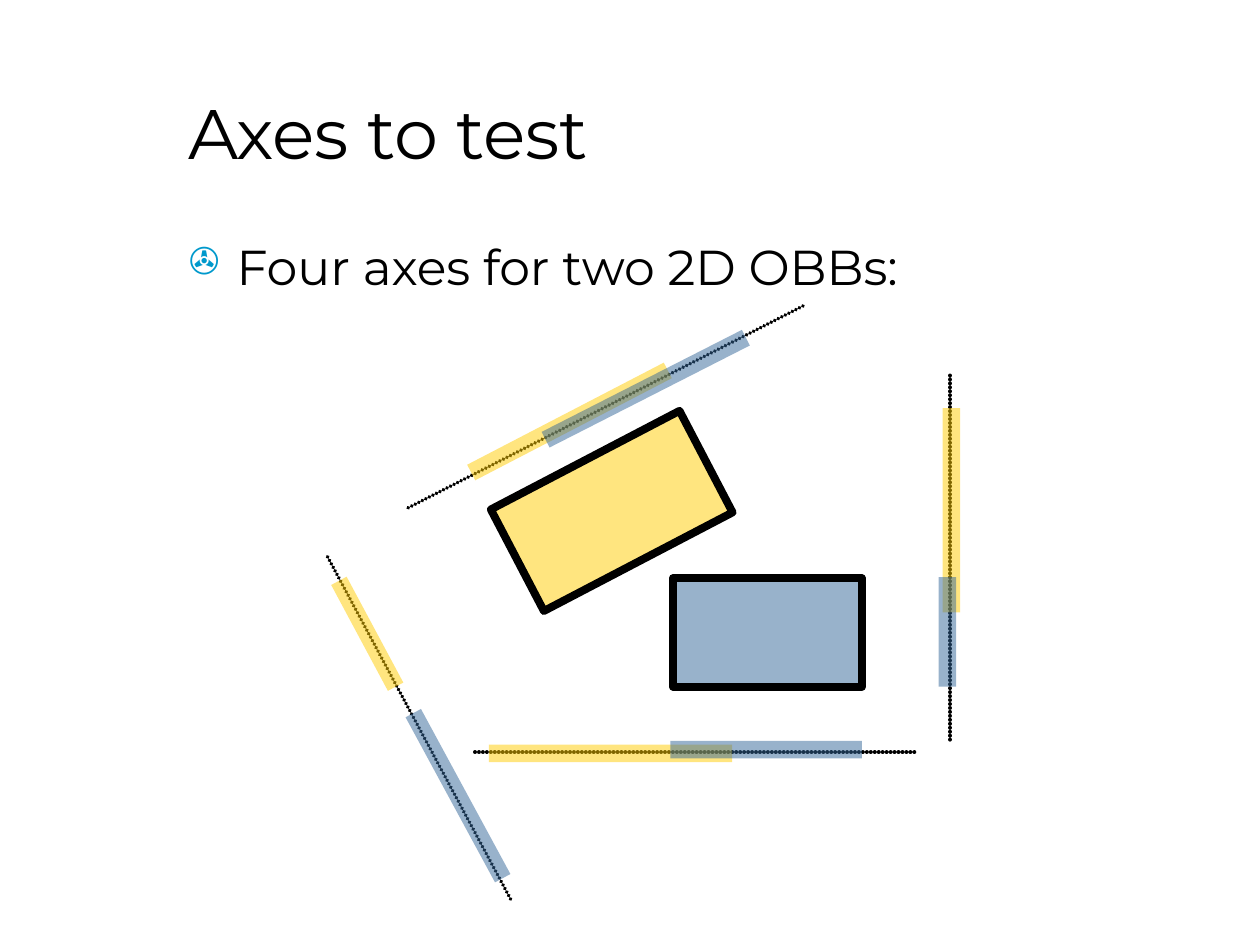
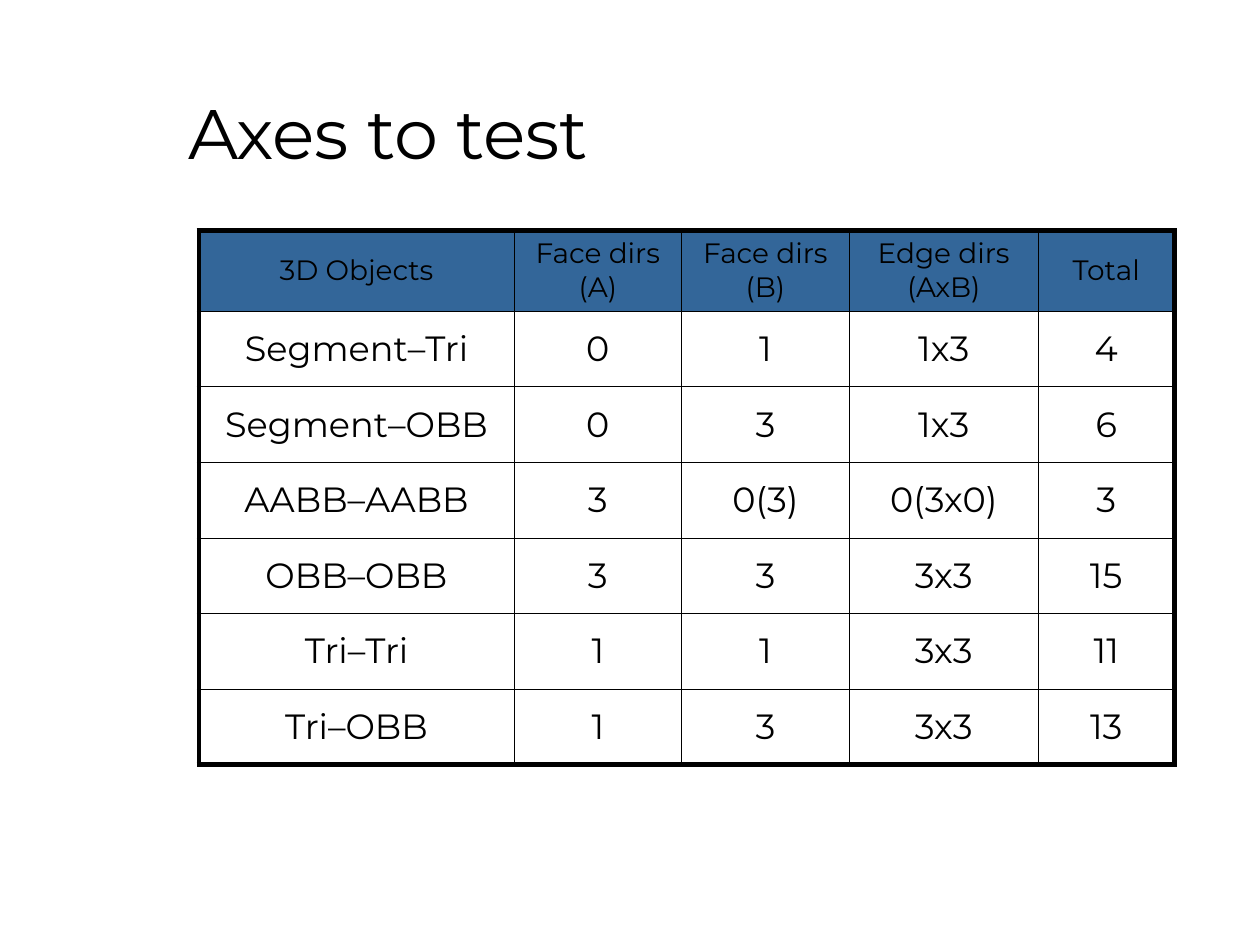
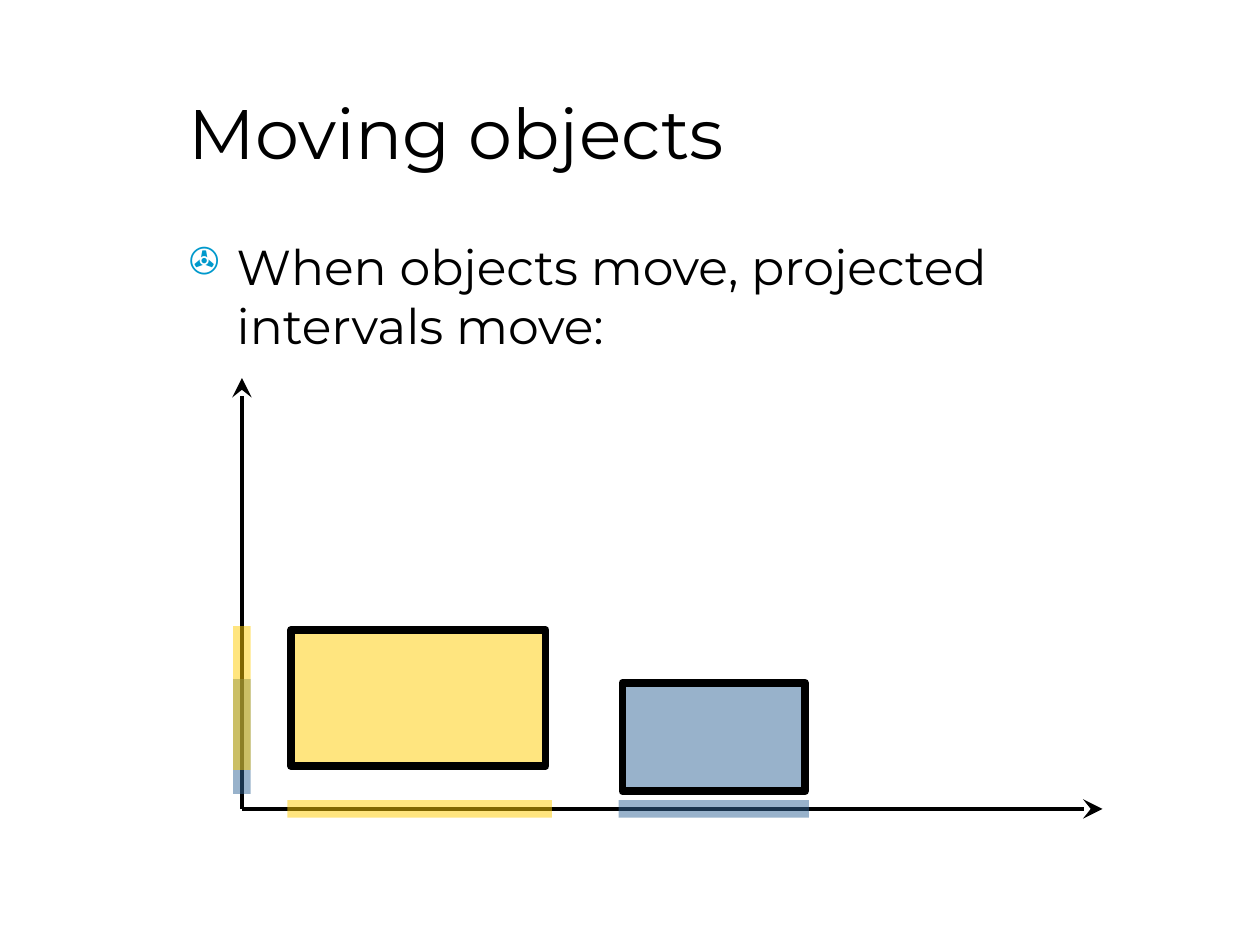
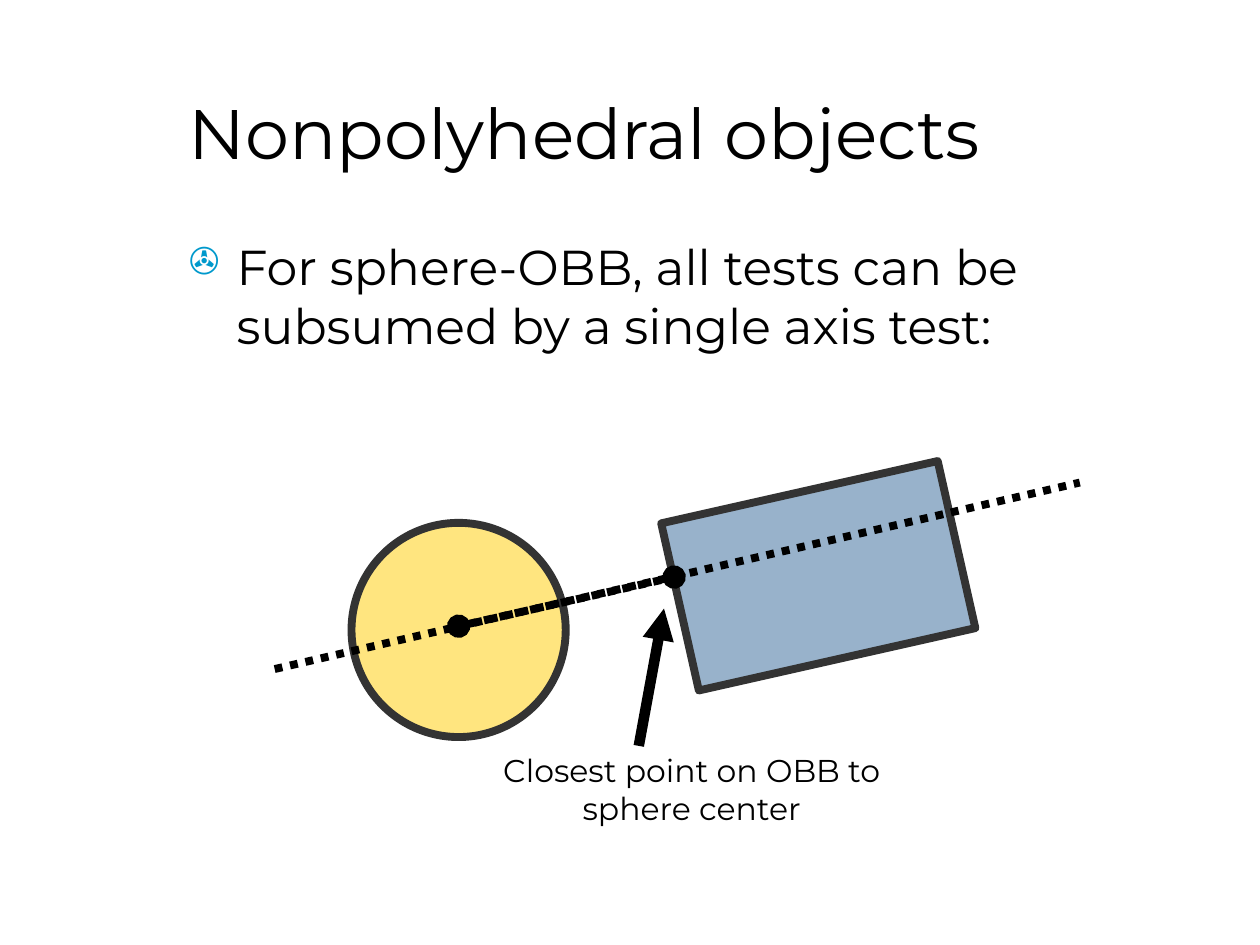
from lxml import etree
from pptx import Presentation
from pptx.dml.color import RGBColor
from pptx.enum.dml import MSO_LINE
from pptx.enum.shapes import MSO_CONNECTOR, MSO_SHAPE
from pptx.enum.text import MSO_ANCHOR, MSO_AUTO_SIZE, PP_ALIGN
from pptx.oxml.ns import qn
from pptx.util import Inches, Pt

BLACK = RGBColor(0x00, 0x00, 0x00)
GRAY = RGBColor(0x33, 0x33, 0x33)
GOLD = RGBColor(0xFF, 0xCC, 0x00)
BLUE = RGBColor(0x33, 0x66, 0x99)
CYAN = RGBColor(0x00, 0x99, 0xCC)
FONT = "Montserrat"

RECT, OVAL = MSO_SHAPE.RECTANGLE, MSO_SHAPE.OVAL
STRAIGHT, DOTS = MSO_CONNECTOR.STRAIGHT, MSO_LINE.ROUND_DOT
TOP, MIDDLE = MSO_ANCHOR.TOP, MSO_ANCHOR.MIDDLE
LEFT, CENTER = PP_ALIGN.LEFT, PP_ALIGN.CENTER
GROW = MSO_AUTO_SIZE.SHAPE_TO_FIT_TEXT

COLS = 10  # square grid: 10 columns, 7.5 rows
THICK, THIN = 3, 0.45


def add(parent, tag, **attrs):
    return etree.SubElement(parent, qn(tag), attrs)


def fade(node):
    """Make the colours under node half transparent."""
    for color in node.iter(qn("a:srgbClr")):
        add(color, "a:alpha", val="50000")


class Deck:
    def __init__(self):
        self.prs = Presentation()
        self.prs.slide_width, self.prs.slide_height = Inches(10), Inches(7.5)
        self.unit = self.prs.slide_width / COLS
        self.slide = None

    def grid(self, *cells):
        return [round(cell * self.unit) for cell in cells]

    def start(self, title, body=None):
        self.slide = self.prs.slides.add_slide(self.prs.slide_layouts[6])
        self.text((1.4, 0.42, 7.75, 1.25), title, 40, anchor=MIDDLE, inset=0)
        if body:
            self.bullet(self.text((1.4, 1.83, 7.75, 4.83), body, 28))

    def put(self, para, text, size, align=LEFT):
        """Add one styled run to a paragraph."""
        para.alignment = align
        run = para.add_run()
        run.text = text
        run.font.size, run.font.name = Pt(size), FONT
        run.font.color.rgb = BLACK

    def text(self, box, text, size, align=LEFT, anchor=TOP, inset=0.05):
        shape = self.slide.shapes.add_textbox(*self.grid(*box))
        frame = shape.text_frame
        frame.word_wrap = True
        frame.vertical_anchor = anchor
        frame.margin_top = frame.margin_bottom = Inches(inset)
        self.put(frame.paragraphs[0], text, size, align)
        return frame

    def bullet(self, frame):
        para = frame.paragraphs[0]
        para.space_before = Pt(7)
        props = para._p.get_or_add_pPr()
        indent = Inches(0.38)
        props.set("marL", str(indent))
        props.set("indent", str(-indent))
        add(add(props, "a:buClr"), "a:srgbClr", val=str(CYAN))
        add(props, "a:buSzPct", val="75000")
        add(props, "a:buChar", char="✇")

    def shape(self, kind, box, fill, edge=BLACK, turn=0):
        shape = self.slide.shapes.add_shape(kind, *self.grid(*box))
        shape.shadow.inherit = False
        shape.rotation = turn
        shape.fill.solid()
        shape.fill.fore_color.rgb = fill
        fade(shape._element.spPr)
        shape.line.color.rgb = edge
        shape.line.width = Pt(4.5)

    def line(self, ends, color=BLACK, width=2.25, dash=None):
        """Draw a line and return its a:ln element."""
        link = self.slide.shapes.add_connector(STRAIGHT, *self.grid(*ends))
        link.line.color.rgb = color
        link.line.width = Pt(width)
        if dash:
            link.line.dash_style = dash
        props = link._element.spPr
        add(props, "a:effectLst")
        return props.find(qn("a:ln"))

    def bar(self, ends, color):
        fade(self.line(ends, color, 10))

    def axis(self, ends):
        """Draw an axis as a row of round dots."""
        line = self.line(ends)
        line.set("cap", "rnd")
        add(add(line, "a:custDash"), "a:ds", d="1000", sp="100000")

    def arrow(self, ends, tip, size="med", width=2.25, head=None, dash=None):
        line = self.line(ends, width=width, dash=dash)
        if head:
            add(line, "a:headEnd", type=head, w=size, len=size)
        add(line, "a:tailEnd", type=tip, w=size, len=size)

    def table(self, at, widths, heights, rows):
        last_row, last_col = len(rows) - 1, len(widths) - 1
        frame = self.slide.shapes.add_table(
            len(rows), len(widths), *self.grid(*at, sum(widths), sum(heights)))
        table = frame.table
        table.first_row = table.horz_banding = False
        for col, width in zip(table.columns, self.grid(*widths)):
            col.width = width
        for row, height in zip(table.rows, self.grid(*heights)):
            row.height = height
        for r, words in enumerate(rows):
            for c, word in enumerate(words):
                cell = table.cell(r, c)
                self.border(cell, L=c == 0, R=c == last_col, T=r == 0, B=r == last_row)
                self.fill(cell, word, head=r == 0)

    def border(self, cell, **sides):
        props = cell._tc.get_or_add_tcPr()
        for side, outer in sides.items():
            line = add(props, f"a:ln{side}", w=str(Pt(THICK if outer else THIN)))
            add(add(line, "a:solidFill"), "a:srgbClr", val=str(BLACK))

    def fill(self, cell, word, head):
        cell.vertical_anchor = MIDDLE
        if head:
            cell.fill.solid()
            cell.fill.fore_color.rgb = BLUE
        else:
            cell.fill.background()
        para = cell.text_frame.paragraphs[0]
        para.space_before = Pt(4 if head else 5)
        self.put(para, word, 16 if head else 20, CENTER)


def draw_axes(deck):
    deck.start("Axes to test", "Four axes for two 2D OBBs:")
    deck.shape(RECT, (5.34, 4.59, 1.5, 0.86), BLUE)
    deck.shape(RECT, (4.01, 3.6, 1.69, 0.91), GOLD, turn=332.4)
    for ends in ((3.77, 5.97, 7.27, 5.97), (7.54, 2.98, 7.54, 5.89),
                 (2.6, 4.42, 4.06, 7.15), (3.24, 4.03, 6.39, 2.42)):
        deck.axis(ends)
    for gold, blue in (
            ((3.74, 3.75, 5.3, 2.94), (4.33, 3.49, 5.92, 2.68)),
            ((2.69, 4.61, 3.14, 5.45), (3.28, 5.66, 3.99, 6.97)),
            ((3.88, 5.98, 5.81, 5.98), (5.32, 5.95, 6.84, 5.95)),
            ((7.55, 4.86, 7.55, 3.24), (7.52, 5.45, 7.52, 4.58))):
        deck.bar(gold, GOLD)
        deck.bar(blue, BLUE)


def draw_counts(deck):
    deck.start("Axes to test")
    rows = (
        ("3D Objects", "Face dirs (A)", "Face dirs (B)", "Edge dirs (AxB)", "Total"),
        ("Segment–Tri", "0", "1", "1x3", "4"),
        ("Segment–OBB", "0", "3", "1x3", "6"),
        ("AABB–AABB", "3", "0(3)", "0(3x0)", "3"),
        ("OBB–OBB", "3", "3", "3x3", "15"),
        ("Tri–Tri", "1", "1", "3x3", "11"),
        ("Tri–OBB", "1", "3", "3x3", "13"),
    )
    heights = [0.64] + [0.6] * (len(rows) - 1)
    deck.table((1.58, 1.83), (2.5, 1.33, 1.33, 1.5, 1.08), heights, rows)


def draw_moving(deck):
    deck.start("Moving objects", "When objects move, projected intervals move:")
    x, y = 1.92, 6.42  # where the two axes meet
    deck.arrow((x, y, 8.75, y), "stealth", "lg")
    deck.bar((2.28, y, 4.38, y), GOLD)
    deck.bar((4.91, y, 6.42, y), BLUE)
    deck.arrow((x, y, x, 3), "stealth", "lg")
    deck.shape(RECT, (4.94, 5.42, 1.45, 0.86), BLUE)
    deck.shape(RECT, (2.31, 5, 2.02, 1.08), GOLD)
    deck.bar((x, 6.3, x, 5.39), BLUE)
    deck.bar((x, 6.11, x, 4.97), GOLD)


def draw_sphere(deck):
    deck.start("Nonpolyhedral objects",
               "For sphere-OBB, all tests can be subsumed by a single axis test:")
    deck.shape(OVAL, (2.79, 4.15, 1.7, 1.7), GOLD, GRAY)
    deck.shape(RECT, (5.37, 3.89, 2.25, 1.36), BLUE, GRAY, 347.3)
    deck.line((2.18, 5.31, 8.57, 3.83), width=4.5, dash=DOTS)
    deck.arrow((3.64, 4.97, 5.35, 4.58), "oval", width=4.5, head="oval", dash=DOTS)
    deck.arrow((5.07, 5.92, 5.27, 4.83), "triangle", width=6)
    note = deck.text((3.85, 5.91, 3.28, 0.7),
                     "Closest point on OBB to sphere center", 18, CENTER)
    note.auto_size = GROW


def main():
    deck = Deck()
    for draw in (draw_axes, draw_counts, draw_moving, draw_sphere):
        draw(deck)
    deck.prs.save("out.pptx")


if __name__ == "__main__":
    main()
